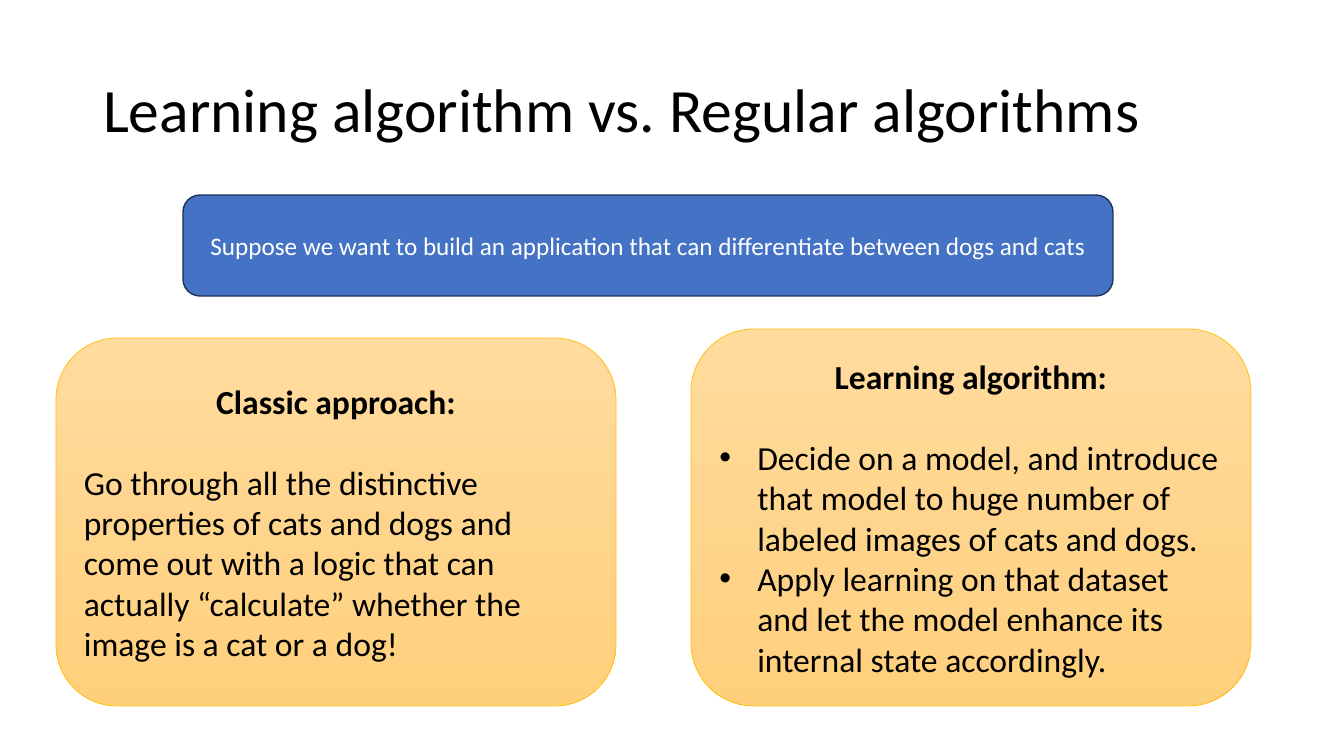
from dataclasses import dataclass
from lxml.etree import SubElement
from pptx import Presentation
from pptx.dml.color import RGBColor
from pptx.enum.shapes import MSO_SHAPE as Shape
from pptx.enum.text import MSO_ANCHOR as Anchor, MSO_AUTO_SIZE as AutoSize, PP_ALIGN as Align
from pptx.oxml.ns import qn
from pptx.util import Pt

PX = 9144000 / 1008  # EMU in one pixel at 100.8 pixels to the inch


@dataclass(frozen=True)
class Theme:
    """Colours, font and type sizes of the slide."""
    font: str = "Calibri"
    ink: str = "000000"
    paper: str = "FFFFFF"
    blue: str = "4472C4"
    blue_edge: str = "1E3256"
    gold_top: str = "FFDB9E"
    gold_bottom: str = "FFD07C"
    gold_edge: str = "FFC000"
    title: int = 44
    premise: int = 18
    card: int = 24


theme = Theme()


def write(paragraph, text, size, color, align=Align.LEFT, bold=False):
    """Put one formatted run into a paragraph."""
    paragraph.alignment = align
    run = paragraph.add_run()
    run.text = text
    for key, value in dict(name=theme.font, size=Pt(size), bold=bold).items():
        setattr(run.font, key, value)
    run.font.color.rgb = RGBColor.from_string(color)


def rounded_box(box, edge, width):
    """Add an outlined rounded rectangle with wrapped, middle-anchored text."""
    shape = slide.shapes.add_shape(Shape.ROUNDED_RECTANGLE, *(round(n * PX) for n in box))
    shape.shadow.inherit = False
    shape.line.color.rgb = RGBColor.from_string(edge)
    shape.line.width = Pt(width)
    shape.text_frame.word_wrap = True
    shape.text_frame.vertical_anchor = Anchor.MIDDLE
    return shape


deck = Presentation()
deck.slide_width, deck.slide_height = round(1344 * PX), round(756 * PX)
slide = deck.slides.add_slide(deck.slide_layouts[5])

# Title
title = slide.shapes.title
for side, pixels in dict(left=93, top=40, width=1159, height=146).items():
    setattr(title, side, round(pixels * PX))
title.text_frame.auto_size = AutoSize.NONE
title.text_frame.vertical_anchor = Anchor.MIDDLE
heading = title.text_frame.paragraphs[0]
heading.line_spacing = 0.9
write(heading, "Learning algorithm vs. Regular algorithms", theme.title, theme.ink)

# Premise
premise = rounded_box((183, 195, 930, 101), theme.blue_edge, 1)
premise.fill.solid()
premise.fill.fore_color.rgb = RGBColor.from_string(theme.blue)
write(premise.text_frame.paragraphs[0],
      "Suppose we want to build an application that can differentiate between dogs and cats",
      theme.premise, theme.paper, Align.CENTER)

# The two approaches, both ending at the same bottom edge
CARD_WIDTH, CARD_BOTTOM, BULLET_INDENT = 560, 706, 38
approaches = [
    (56, 338, "Classic approach:", False,
     ["Go through all the distinctive properties of cats and dogs and come out with a logic "
      "that can actually “calculate” whether the image is a cat or a dog!"]),
    (691, 329, "Learning algorithm:", True,
     ["Decide on a model, and introduce that model to huge number of labeled images of "
      "cats and dogs.",
      "Apply learning on that dataset and let the model enhance its internal state "
      "accordingly."]),
]
for left, top, name, bulleted, points in approaches:
    card = rounded_box((left, top, CARD_WIDTH, CARD_BOTTOM - top), theme.gold_edge, 0.5)
    card.fill.gradient()
    card.fill.gradient_angle = 270
    for stop, color, position in zip(card.fill.gradient_stops,
                                     (theme.gold_top, theme.gold_bottom), (0, 1)):
        stop.color.rgb = RGBColor.from_string(color)
        stop.position = position

    card_heading = card.text_frame.paragraphs[0]
    card_heading.space_after = Pt(29)
    write(card_heading, name, theme.card, theme.ink, Align.CENTER, bold=True)
    for point in points:
        paragraph = card.text_frame.add_paragraph()
        write(paragraph, point, theme.card, theme.ink)
        if bulleted:
            properties = paragraph._p.get_or_add_pPr()
            properties.set("marL", str(round(BULLET_INDENT * PX)))
            properties.set("indent", str(round(-BULLET_INDENT * PX)))
            SubElement(properties, qn("a:buFont"), typeface="Arial")
            SubElement(properties, qn("a:buChar"), char="•")

deck.save("out.pptx")
